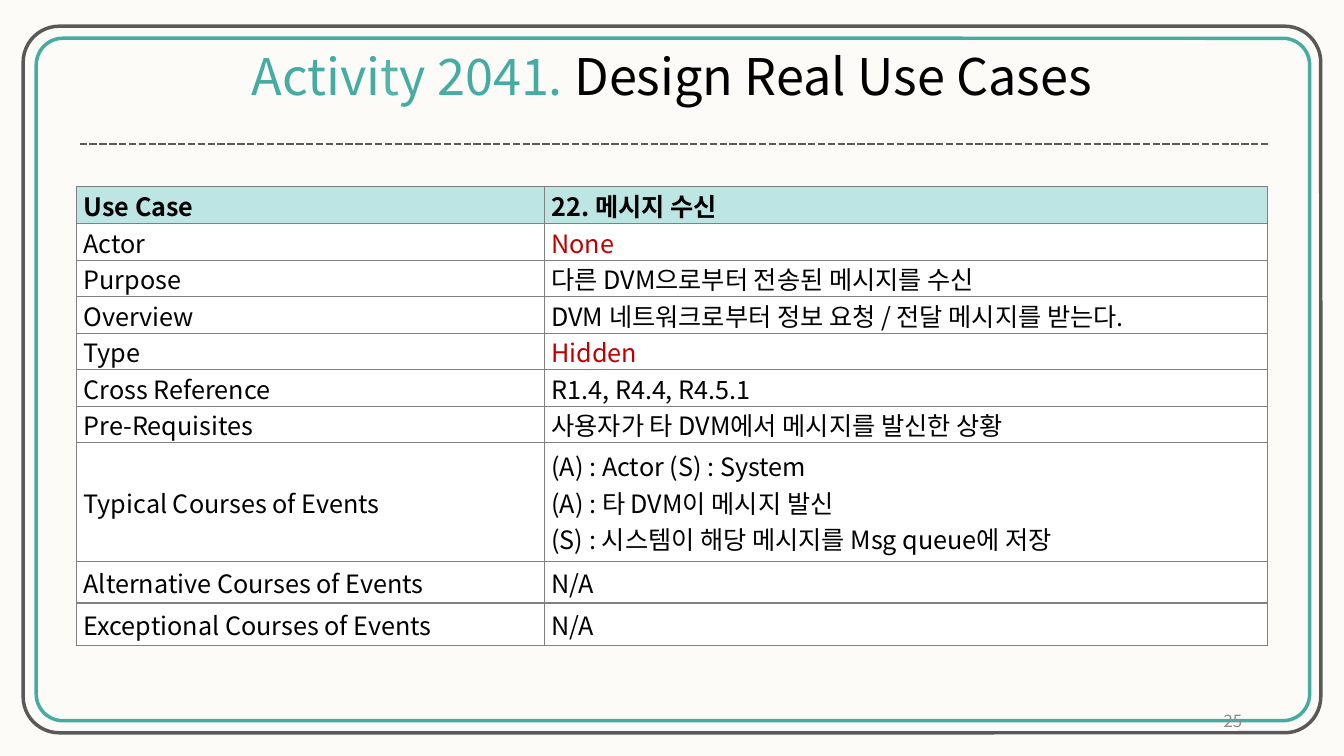
from dataclasses import dataclass
from typing import Any

import lxml.etree
import pptx
import pptx.dml.color
import pptx.enum.dml
import pptx.enum.shapes
import pptx.enum.text
import pptx.oxml.ns
import pptx.util

Inches = pptx.util.Inches
Align = pptx.enum.text.PP_ALIGN
Middle = pptx.enum.text.MSO_ANCHOR.MIDDLE
qn = pptx.oxml.ns.qn

FONT = "Noto Sans CJK KR"
COLORS = {
    "paper": "FCFBF7", "teal": "46ACA1", "light": "57B4A9", "dark": "595959",
    "black": "000000", "red": "C00000", "grey": "8C8C8C", "rule": "808080",
    "head": "BDE5E3", "white": "FFFFFF",
}
CELL = {
    "vertical_anchor": Middle,
    "margin_left": Inches(0.07), "margin_right": Inches(0.07),
    "margin_top": 0, "margin_bottom": 0,
}
LABEL = {
    "vertical_anchor": Middle, "word_wrap": False,
    "margin_left": Inches(0.1), "margin_right": Inches(0.1),
    "margin_top": 0, "margin_bottom": 0,
}


@dataclass
class Frame:
    box: tuple[float, float, float, float]
    bend: float
    color: str


@dataclass
class Row:
    name: str
    lines: list[str]
    height: float = 0.35
    color: str = "black"
    head: bool = False


@dataclass
class Label:
    box: tuple[float, float, float, float]
    runs: list[tuple[str, str]]
    size: float
    align: Any
    wrap: bool = False


FRAMES = [
    Frame((0.36, 0.38, 12.63, 6.77), 0.039, "teal"),
    Frame((0.23, 0.26, 12.87, 7.01), 0.051, "dark"),
]
ROWS = [
    Row("Use Case", ["22. 메시지 수신"], 0.37, head=True),
    Row("Actor", ["None"], color="red"),
    Row("Purpose", ["다른 DVM으로부터 전송된 메시지를 수신"]),
    Row("Overview", ["DVM 네트워크로부터 정보 요청 / 전달 메시지를 받는다."]),
    Row("Type", ["Hidden"], color="red"),
    Row("Cross Reference", ["R1.4, R4.4, R4.5.1"]),
    Row("Pre-Requisites", ["사용자가 타 DVM에서 메시지를 발신한 상황"]),
    Row("Typical Courses of Events", [
        "(A) : Actor (S) : System",
        "(A) : 타 DVM이 메시지 발신",
        "(S) : 시스템이 해당 메시지를 Msg queue에 저장",
    ], 1.18),
    Row("Alternative Courses of Events", ["N/A"], 0.41),
    Row("Exceptional Courses of Events", ["N/A"], 0.42),
]
LABELS = [
    Label((9.42, 6.95, 3, 0.4), [("25", "grey")], 12, Align.RIGHT, True),
    Label((2.35, 0.39, 8.63, 0.71), [
        ("Activi", "teal"), ("t", "light"), ("y 2041. ", "teal"),
        ("Design Real Use Cases", "black"),
    ], 36, Align.CENTER),
]


def tint(name: str) -> pptx.dml.color.RGBColor:
    return pptx.dml.color.RGBColor.from_string(COLORS[name])


def apply(item: Any, form: dict[str, Any]) -> None:
    for key, value in form.items():
        setattr(item, key, value)


def paint(fill: Any, color: str) -> None:
    fill.solid()
    fill.fore_color.rgb = tint(color)


def add_run(para: Any, text: str, size: float, color: str, bold: bool = False) -> None:
    run = para.add_run()
    run.text = text
    apply(run.font, {"name": FONT, "size": pptx.util.Pt(size), "bold": bold})
    run.font.color.rgb = tint(color)
    # Hangul takes its typeface from the East Asian slot
    lxml.etree.SubElement(run.font._element, qn("a:ea"), typeface=FONT)


def add_frame(shapes: Any, frame: Frame) -> None:
    kind = pptx.enum.shapes.MSO_SHAPE.ROUNDED_RECTANGLE
    shape = shapes.add_shape(kind, *map(Inches, frame.box))
    shape.adjustments[0] = frame.bend
    shape.shadow.inherit = False
    shape.fill.background()
    shape.line.color.rgb = tint(frame.color)
    shape.line.width = pptx.util.Pt(2.5)


def add_rule(shapes: Any) -> None:
    kind = pptx.enum.shapes.MSO_CONNECTOR.STRAIGHT
    rule = shapes.add_connector(kind, *map(Inches, (0.79, 1.43, 12.6, 1.43)))
    rule.line.color.rgb = tint("dark")
    apply(rule.line, {
        "width": pptx.util.Pt(1.75),
        "dash_style": pptx.enum.dml.MSO_LINE.SQUARE_DOT,
    })
    lxml.etree.SubElement(rule._element.spPr, qn("a:effectLst"))


def add_edges(cell: Any) -> None:
    """Draw a thin line on all four sides of a cell."""
    props = cell._tc.get_or_add_tcPr()
    for side in "LRTB":
        edge = lxml.etree.SubElement(props, qn(f"a:ln{side}"), w=str(pptx.util.Pt(1)))
        fill = lxml.etree.SubElement(edge, qn("a:solidFill"))
        lxml.etree.SubElement(fill, qn("a:srgbClr"), val=COLORS["rule"])


def fill_cell(cell: Any, lines: list[str], color: str, head: bool) -> None:
    apply(cell, CELL)
    add_edges(cell)
    paint(cell.fill, "head" if head else "white")
    frame = cell.text_frame
    for i, line in enumerate(lines):
        para = frame.add_paragraph() if i else frame.paragraphs[0]
        add_run(para, line, 18, color, head)


def add_grid(shapes: Any) -> None:
    box = map(Inches, (0.76, 1.85, 11.81, 4.46))
    table = shapes.add_table(len(ROWS), 2, *box).table
    apply(table, {"first_row": False, "horz_banding": False})
    for col, width in zip(table.columns, (4.64, 7.17)):
        col.width = Inches(width)
    for i, row in enumerate(ROWS):
        table.rows[i].height = Inches(row.height)
        fill_cell(table.cell(i, 0), [row.name], "black", row.head)
        fill_cell(table.cell(i, 1), row.lines, row.color, row.head)


def add_label(shapes: Any, label: Label) -> None:
    frame = shapes.add_textbox(*map(Inches, label.box)).text_frame
    apply(frame, LABEL | {"word_wrap": label.wrap})
    para = frame.paragraphs[0]
    para.alignment = label.align
    for text, color in label.runs:
        add_run(para, text, label.size, color)


def main() -> None:
    deck = pptx.Presentation()
    apply(deck, {"slide_width": Inches(13.33), "slide_height": Inches(7.5)})
    slide = deck.slides.add_slide(deck.slide_layouts[6])
    paint(slide.background.fill, "paper")
    for frame in FRAMES:
        add_frame(slide.shapes, frame)
    add_rule(slide.shapes)
    add_grid(slide.shapes)
    for label in LABELS:
        add_label(slide.shapes, label)
    deck.save("out.pptx")


if __name__ == "__main__":
    main()
